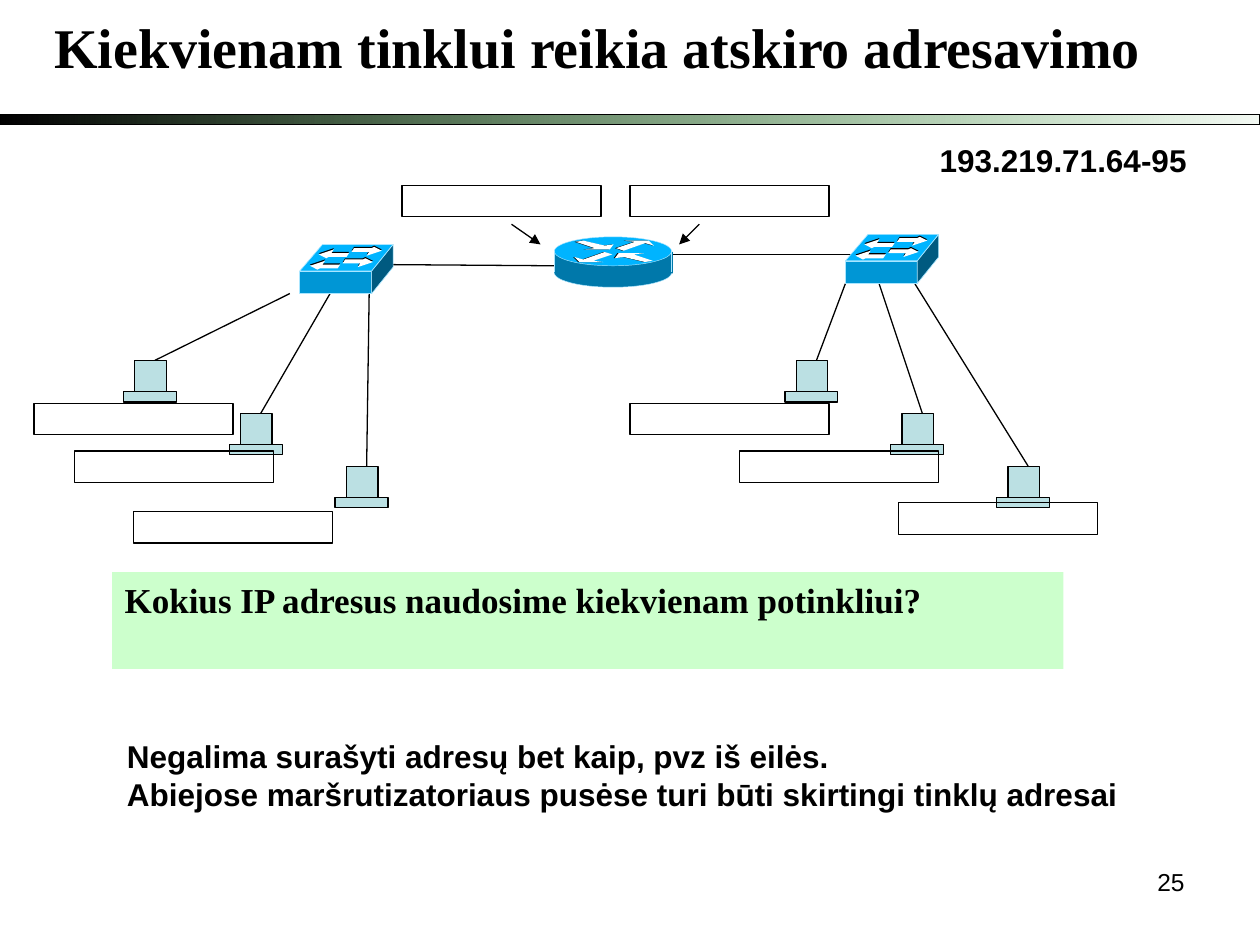
import lxml.etree
import pptx
import pptx.dml.color
import pptx.enum.shapes
import pptx.enum.text
import pptx.oxml
import pptx.oxml.ns
import pptx.util

Inches = pptx.util.Inches
SHAPE = pptx.enum.shapes.MSO_SHAPE
ALIGN = pptx.enum.text.PP_ALIGN
qn = pptx.oxml.ns.qn

COLORS = {
    "black": "000000", "white": "FFFFFF", "green": "008000", "mint": "CCFFCC",
    "computer": "BBE0E3", "edge": "AAE6FF", "top": "00B4FF", "front": "0096D5",
    "side": "005A80", "router": "0078AA",
}
SWITCH_ARROW = [(0.02, 0.01), (0, 0.04), (0.14, 0.04), (0.12, 0.07),
                (0.24, 0.03), (0.18, 0), (0.16, 0.01)]
OUTWARD_ARROW = [(0, 0.06), (0.06, 0.08), (0.23, 0.02), (0.3, 0.04),
                 (0.26, 0), (0.07, 0), (0.15, 0.01)]
INWARD_ARROW = [(0, 0.01), (0.06, 0), (0.23, 0.04), (0.3, 0.03),
                (0.27, 0.07), (0.07, 0.07), (0.15, 0.06)]


def rotated(points, width, height):
    return [(width - x, height - y) for x, y in points]


def color(name):
    return pptx.dml.color.RGBColor.from_string(COLORS[name])


class NetworkSlide:
    """Draws styled elements on the current slide."""

    def __init__(self, slide):
        self.slide = slide
        self.line_width = 0.75
        self.margins = {"margin_left": Inches(0.1), "margin_right": Inches(0.1),
                        "margin_top": Inches(0.05), "margin_bottom": Inches(0.05),
                        "vertical_anchor": pptx.enum.text.MSO_ANCHOR.TOP}

    def paint(self, shape, fill=None, line=None, width=None):
        shape.shadow.inherit = False
        if fill:
            shape.fill.solid()
            shape.fill.fore_color.rgb = color(fill)
        else:
            shape.fill.background()
        if line:
            shape.line.color.rgb = color(line)
            shape.line.width = pptx.util.Pt(width or self.line_width)
        else:
            shape.line.fill.background()
        return shape

    def shape(self, box, fill=None, line=None, width=None, kind=SHAPE.RECTANGLE):
        shape = self.slide.shapes.add_shape(kind, *map(Inches, box))
        return self.paint(shape, fill, line, width)

    def outline(self, left, top, points, fill, line=None, width=None):
        corners = [(Inches(left + x), Inches(top + y)) for x, y in points]
        builder = self.slide.shapes.build_freeform(*corners[0])
        builder.add_line_segments(corners[1:], close=True)
        return self.paint(builder.convert_to_shape(), fill, line, width)

    def line(self, start, end, name="black", width=None, arrow=False):
        connector = self.slide.shapes.add_connector(
            pptx.enum.shapes.MSO_CONNECTOR.STRAIGHT, *map(Inches, (*start, *end)))
        connector.line.color.rgb = color(name)
        connector.line.width = pptx.util.Pt(width or self.line_width)
        properties = connector._element.spPr
        if arrow:
            tail = lxml.etree.SubElement(properties.find(qn("a:ln")), qn("a:tailEnd"))
            tail.set("type", "triangle")
        lxml.etree.SubElement(properties, qn("a:effectLst"))

    def fill_text(self, shape, lines, size, font="Arial", bold=True,
                  align=ALIGN.LEFT, wrap=False):
        frame = shape.text_frame
        for key, value in {**self.margins, "word_wrap": wrap}.items():
            setattr(frame, key, value)
        for index, text in enumerate(lines):
            paragraph = frame.add_paragraph() if index else frame.paragraphs[0]
            paragraph.alignment = align
            run = paragraph.add_run()
            run.text = text
            style = {"name": font, "size": pptx.util.Pt(size), "bold": bold}
            for key, value in style.items():
                setattr(run.font, key, value)
            run.font.color.rgb = color("black")

    def text(self, box, lines, size, **style):
        self.fill_text(self.slide.shapes.add_textbox(*map(Inches, box)), lines, size, **style)

    def divider(self, box):
        bar = self.shape(box, line="black")
        bar.fill.gradient()
        bar.fill.gradient_angle = 0
        for stop, name, position in zip(bar.fill.gradient_stops, ("black", "green"), (0, 1)):
            stop.color.rgb = color(name)
            stop.position = position
        values = bar._element.spPr.findall(".//" + qn("a:srgbClr"))
        green = next(item for item in values if item.get("val") == COLORS["green"])
        lxml.etree.SubElement(green, qn("a:alpha")).set("val", "5000")

    def label(self, left, top):
        self.shape((left, top, 1.58, 0.25), line="black")

    def computer(self, left, top):
        self.shape((left + 0.09, top, 0.25, 0.25), "computer", "black")
        self.shape((left, top + 0.25, 0.42, 0.08), "computer", "black")

    def computers(self, left, top, cable_starts):
        for index, start in enumerate(cable_starts):
            x, y = left + 0.84 * index, top + 0.42 * index
            self.computer(x, y)
            self.line(start, (x + 0.25, y))

    def arrows(self, left, top, arrows, shift):
        for fill, (right, down) in (("black", (0, 0)), ("white", shift)):
            for x, y, points in arrows:
                self.outline(left + x + right, top + y + down, points, fill)

    def switch(self, left, top):
        self.shape((left, top + 0.21, 0.57, 0.18), "front", "edge", 0.37)
        side = [(0.57, 0.21), (0.74, 0), (0.74, 0.18), (0.57, 0.39)]
        lid = [(0.57, 0.21), (0.74, 0), (0.18, 0), (0, 0.21)]
        for points, fill in ((side, "side"), (lid, "top")):
            self.outline(left, top, points, fill, "edge", 0.37)
        back = rotated(SWITCH_ARROW, 0.24, 0.07)
        self.arrows(left, top, [(0.34, 0.1, SWITCH_ARROW), (0.41, 0.01, SWITCH_ARROW),
                                (0.08, 0.12, back), (0.15, 0.03, back)], (0, 0.01))

    def router(self, left, top):
        self.shape((left, top + 0.17, 0.93, 0.23), "router", "edge", 0.25, SHAPE.OVAL)
        self.shape((left, top + 0.12, 0.94, 0.17), "router")
        self.shape((left, top, 0.93, 0.23), "top", "edge", 0.25, SHAPE.OVAL)
        self.arrows(left, top, [
            (0.48, 0.03, OUTWARD_ARROW), (0.14, 0.12, rotated(OUTWARD_ARROW, 0.31, 0.08)),
            (0.16, 0.03, INWARD_ARROW), (0.46, 0.13, rotated(INWARD_ARROW, 0.31, 0.07)),
        ], (0.01, 0))
        for x in (left, left + 0.93):
            self.line((x, top + 0.11), (x, top + 0.28), "edge", 0.25)


def main():
    presentation = pptx.Presentation()
    presentation.slide_width, presentation.slide_height = Inches(10), Inches(7.5)
    network = NetworkSlide(presentation.slides.add_slide(presentation.slide_layouts[6]))

    question = network.shape((0.89, 4.54, 7.55, 0.77), "mint")
    network.fill_text(question, ["Kokius IP adresus naudosime kiekvienam potinkliui?"],
                      20, font="Times New Roman", wrap=True)
    network.text((0.91, 5.8, 8.06, 0.7), [
        "Negalima surašyti adresų bet kaip, pvz iš eilės.",
        "Abiejose maršrutizatoriaus pusėse turi būti skirtingi tinklų adresai"], 18)
    network.text((7.17, 6.83, 2.33, 0.52), ["25"], 14, bold=False,
                 align=ALIGN.RIGHT, wrap=True)
    network.divider((0, 0.91, 10, 0.08))
    network.text((0.32, 0.05, 8.85, 0.64), ["Kiekvienam tinklui reikia atskiro adresavimo"],
                 32, font="Times New Roman", align=ALIGN.CENTER)

    network.computers(0.98, 2.86, [(2.3, 2.33), (2.62, 2.33), (2.93, 2.33)])
    network.computers(6.23, 2.86, [(6.71, 2.25), (6.95, 2.17), (7.26, 2.25)])
    network.line((3.09, 2.1), (4.48, 2.11))
    network.line((5.29, 2.02), (6.84, 2.02))
    network.router(4.4, 1.88)
    network.switch(6.71, 1.86)
    network.switch(2.38, 1.94)
    network.line((4.06, 1.78), (4.29, 1.94), arrow=True)
    network.line((5.55, 1.78), (5.39, 1.94), arrow=True)
    for left, top in ((3.19, 1.47), (5, 1.47), (1.06, 4.06), (0.59, 3.58),
                      (0.27, 3.2), (5, 3.2), (5.87, 3.58), (7.13, 3.99)):
        network.label(left, top)
    network.text((7.36, 1.07, 2.16, 0.4), ["193.219.71.64-95"], 18)
    presentation.save("out.pptx")


if __name__ == "__main__":
    main()
